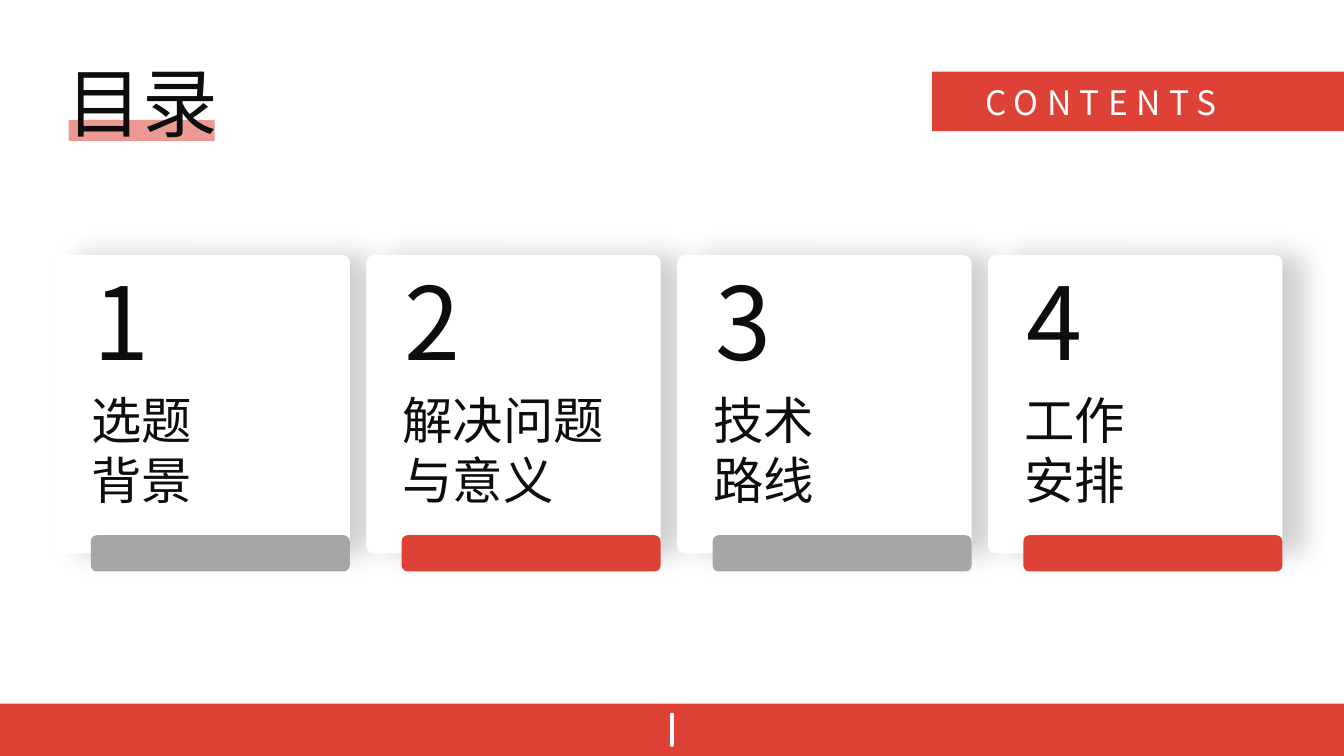
from lxml.etree import SubElement
from pptx import Presentation
from pptx.dml.color import RGBColor
from pptx.enum.shapes import MSO_CONNECTOR, MSO_SHAPE
from pptx.enum.text import MSO_AUTO_SIZE, PP_ALIGN
from pptx.oxml.ns import qn
from pptx.util import Inches, Pt

COLORS = {
    "red": "DE4236",
    "pink": "ED9993",
    "gray": "A6A6A6",
    "ink": "0D0D0D",
    "white": "FFFFFF",
}
FONT = "Noto Sans CJK SC"
CHAPTERS = [
    ("选题", "背景"),
    ("解决问题", "与意义"),
    ("技术", "路线"),
    ("工作", "安排"),
]
CARD_LEFT, CARD_PITCH = 4.13, 23.13


class ContentsSlide:
    """Draws on one slide; every box is given in percent of the slide's size."""

    def __init__(self, deck):
        self.deck = deck
        self.slide = deck.slides.add_slide(deck.slide_layouts[6])
        self.shapes = self.slide.shapes

    def place(self, left, top, width, height):
        across, down = self.deck.slide_width / 100, self.deck.slide_height / 100
        return (round(left * across), round(top * down),
                round(width * across), round(height * down))

    def color(self, name):
        return RGBColor.from_string(COLORS[name])

    def block(self, box, fill, shapes=None, corner=None):
        """Add a filled rectangle, rounded if a corner ratio is given."""
        preset = MSO_SHAPE.RECTANGLE if corner is None else MSO_SHAPE.ROUNDED_RECTANGLE
        block = (shapes or self.shapes).add_shape(preset, *self.place(*box))
        if corner is not None:
            block.adjustments[0] = corner
        block.shadow.inherit = False
        block.fill.solid()
        block.fill.fore_color.rgb = self.color(fill)
        block.line.fill.background()
        return block

    def cast_shadow(self, block):
        """Add a soft shadow to the right."""
        effects = block._element.spPr.find(qn("a:effectLst"))
        shadow = SubElement(effects, qn("a:outerShdw"), blurRad=str(Pt(20)),
                            dist=str(Pt(15)), dir="0", algn="ctr", rotWithShape="0")
        tint = SubElement(shadow, qn("a:srgbClr"), val=COLORS["ink"])
        SubElement(tint, qn("a:alpha"), val="20000")

    def text(self, box, lines, size, color="ink", shapes=None, align=PP_ALIGN.LEFT,
             wrap=False, tracking=0, line_spacing=None):
        frame = (shapes or self.shapes).add_textbox(*self.place(*box)).text_frame
        frame.word_wrap = wrap
        frame.auto_size = MSO_AUTO_SIZE.SHAPE_TO_FIT_TEXT
        frame.text = "\n".join(lines)
        for paragraph in frame.paragraphs:
            paragraph.alignment = align
            if line_spacing:
                paragraph.line_spacing = line_spacing
            font = paragraph.font
            font.name, font.size = FONT, Pt(size)
            font.color.rgb = self.color(color)
            defaults = paragraph._p.pPr.find(qn("a:defRPr"))
            SubElement(defaults, qn("a:ea"), typeface=FONT)
            if tracking:
                defaults.set("spc", str(tracking * 100))

    def card(self, index, title):
        left = CARD_LEFT + index * CARD_PITCH
        parts = self.slide.shapes.add_group_shape().shapes
        self.cast_shadow(self.block((left, 33.73, 21.9, 39.47), "white", parts, 0.026))
        title_width = 1.5 + 3.8 * max(map(len, title))
        self.text((left + 1.95, 50.8, title_width, 17.47), title, 36, shapes=parts)
        self.text((left + 2.1, 36.13, 13.2, 15.2), [str(index + 1)], 72, shapes=parts,
                  wrap=True, tracking=4, line_spacing=0.85)
        self.block((left + 2.63, 70.8, 19.27, 4.8), "red" if index % 2 else "gray",
                   parts, 0.167)

    def vertical_tick(self, x, top, bottom, color, width):
        left, start, _, end = self.place(x, top, 0, bottom)
        tick = self.shapes.add_connector(MSO_CONNECTOR.STRAIGHT, left, start, left, end)
        tick.line.color.rgb = self.color(color)
        tick.line.width = Pt(width)
        tick.line._get_or_add_ln().set("cap", "rnd")
        SubElement(tick._element.spPr, qn("a:effectLst"))


def main():
    deck = Presentation()
    deck.slide_width, deck.slide_height = Inches(13.333), Inches(7.5)
    contents = ContentsSlide(deck)

    contents.block((0, 93.07, 100, 6.93), "red")
    contents.block((5.1, 15.87, 10.88, 2.8), "pink")
    contents.text((4.13, 6.8, 12.9, 13.47), ["目录"], 54, align=PP_ALIGN.CENTER)
    contents.block((69.35, 9.47, 30.65, 7.87), "red", corner=0)
    contents.text((71.7, 10.13, 20.4, 6.67), ["CONTENTS"], 24, "white",
                  align=PP_ALIGN.CENTER, tracking=6)
    for index, title in enumerate(CHAPTERS):
        contents.card(index, title)
    contents.vertical_tick(50, 94.53, 98.53, "white", 3)

    deck.save("out.pptx")


if __name__ == "__main__":
    main()
